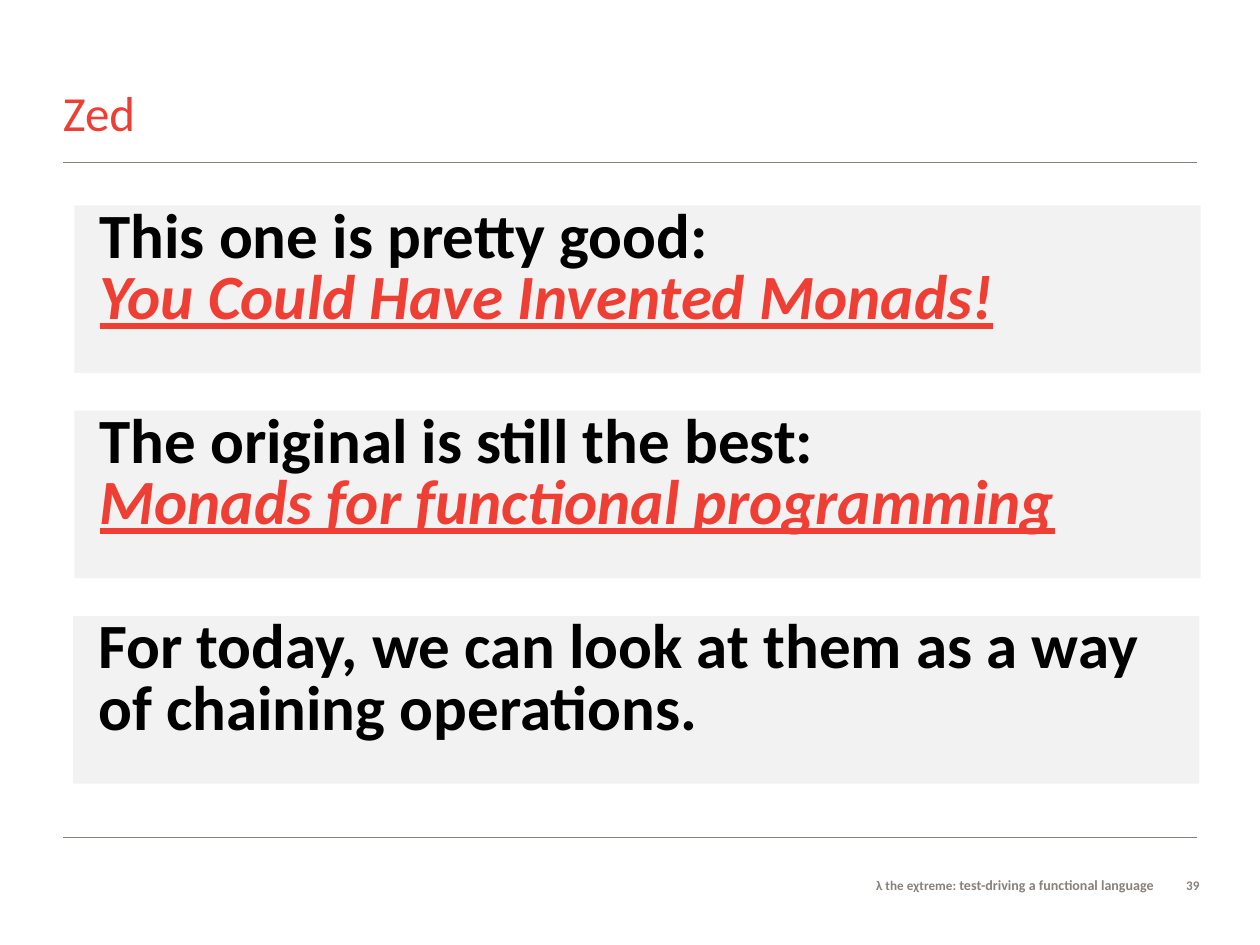
from pptx import Presentation
from pptx.dml.color import RGBColor
from pptx.enum.shapes import MSO_CONNECTOR, MSO_SHAPE
from pptx.enum.text import MSO_ANCHOR, PP_ALIGN
from pptx.util import Inches, Pt
from lxml import etree

LINE = MSO_CONNECTOR.STRAIGHT
RECT = MSO_SHAPE.RECTANGLE
TOP, BOTTOM = MSO_ANCHOR.TOP, MSO_ANCHOR.BOTTOM
LEFT, RIGHT = PP_ALIGN.LEFT, PP_ALIGN.RIGHT
NS = "http://schemas.openxmlformats.org/drawingml/2006/main"
RED, GREY, BLACK, PALE = "EF3E33", "88807A", "000000", "F2F2F2"

HEAD = {"size": Pt(28)}
PLAIN = {"size": Pt(36), "bold": True}
LINK = {**PLAIN, "italic": True, "underline": True}
SMALL = {"size": Pt(7.5), "bold": True}
NOTE = {**SMALL, "size": Pt(8)}


def color(code):
    return RGBColor.from_string(code)


def apply(item, values):
    for name, value in values.items():
        setattr(item, name, value)


def frame(shape, pads=(0, 0, 0, 0), anchor=TOP):
    text = shape.text_frame
    names = ("margin_left", "margin_top", "margin_right", "margin_bottom")
    apply(text, dict(zip(names, map(Inches, pads))))
    apply(text, {"word_wrap": True, "vertical_anchor": anchor})
    return text


def write(para, text, style, code):
    run = para.add_run()
    run.text = text
    apply(run.font, {"name": "Calibri", **style})
    run.font.color.rgb = color(code)


def rule(slide, left, top, width):
    line = slide.shapes.add_connector(
        LINE, Inches(left), Inches(top), Inches(left + width), Inches(top))
    line.line.color.rgb = color(GREY)
    line.line.width = Pt(0.5)
    etree.SubElement(line._element.spPr, f"{{{NS}}}effectLst")


def label(slide, box, parts, code, form, anchor=TOP):
    shape = slide.shapes.add_textbox(*map(Inches, box))
    para = frame(shape, anchor=anchor).paragraphs[0]
    apply(para, form)
    for text, style in parts:
        write(para, text, style, code)


def panel(slide, box, lines):
    shape = slide.shapes.add_shape(RECT, *map(Inches, box))
    shape.shadow.inherit = False
    shape.fill.solid()
    shape.fill.fore_color.rgb = color(PALE)
    shape.line.fill.background()
    body = frame(shape, (0.2, 0.2, 0.1, 0.2))
    for i, (text, style, code) in enumerate(lines):
        para = body.add_paragraph() if i else body.paragraphs[0]
        apply(para, {"alignment": LEFT, "line_spacing": Pt(23),
                     "space_before": Pt(6 if i else 0), "space_after": Pt(6)})
        write(para, text, style, code)


def main():
    deck = Presentation()
    apply(deck, {"slide_width": Inches(10), "slide_height": Inches(7.5)})
    slide = deck.slides.add_slide(deck.slide_layouts[6])

    for top in (1.29, 6.65):
        rule(slide, 0.5, top, 9)
    label(slide, (0.5, 0.24, 8.3, 0.88), [("Zed", HEAD)], RED,
          {"line_spacing": Pt(30)}, BOTTOM)

    panels = [
        (0.59, [("This one is pretty good:", PLAIN, BLACK),
                ("You Could Have Invented Monads!", LINK, RED)]),
        (0.59, [("The original is still the best:", PLAIN, BLACK),
                ("Monads for functional programming", LINK, RED)]),
        (0.58, [("For today, we can look at them as a way", PLAIN, BLACK),
                ("of chaining operations.", PLAIN, BLACK)]),
    ]
    for i, (left, lines) in enumerate(panels):
        panel(slide, (left, 1.63 + 1.63 * i, 8.94, 1.33), lines)

    foot = [("λ the eχtreme: ", SMALL),
            ("test-driving a functional language", NOTE)]
    label(slide, (5.99, 6.96, 3.17, 0.18), foot, GREY, {"alignment": RIGHT})
    label(slide, (9.21, 6.96, 0.31, 0.18), [("39", SMALL)], GREY,
          {"alignment": RIGHT})
    deck.save("out.pptx")


if __name__ == "__main__":
    main()
